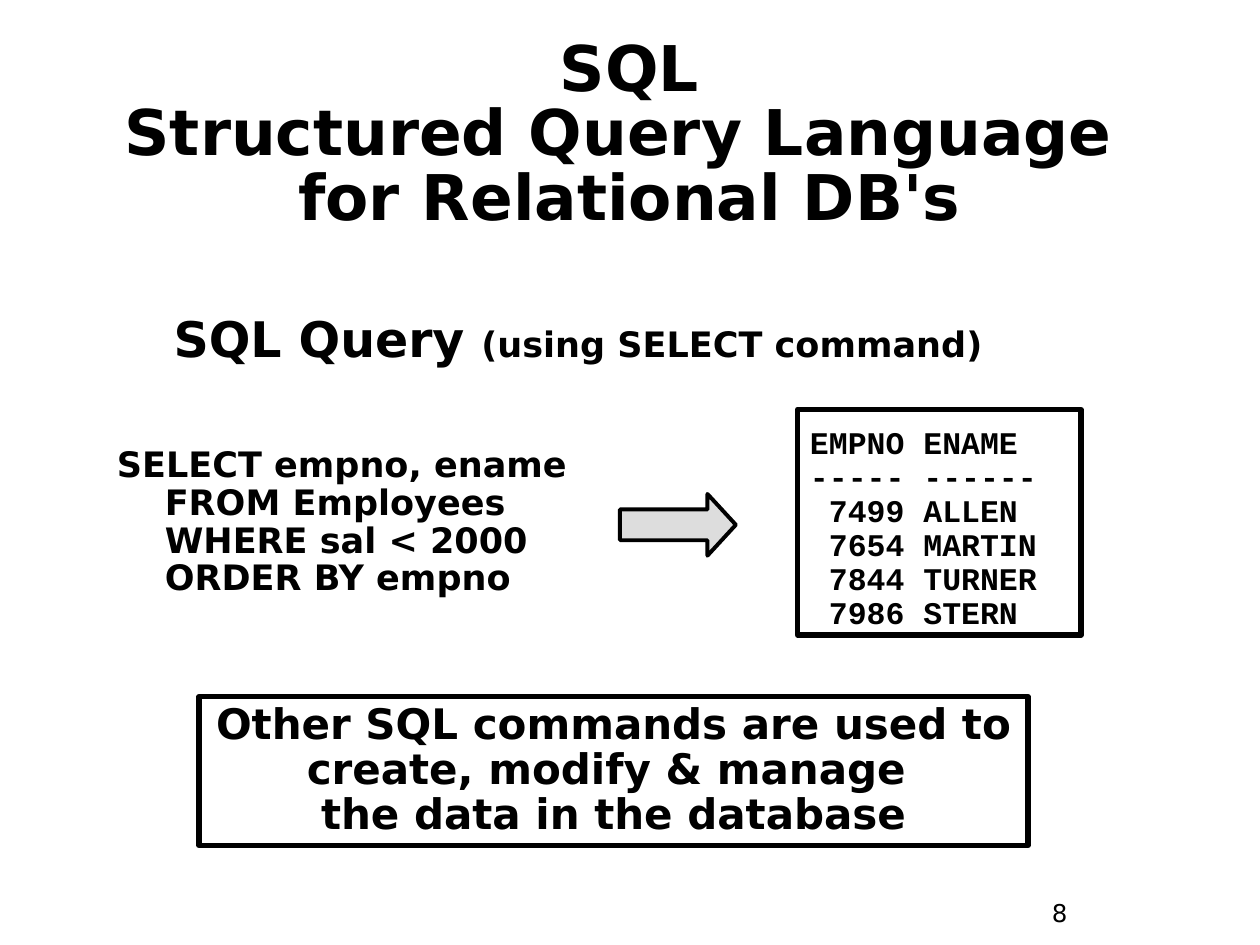
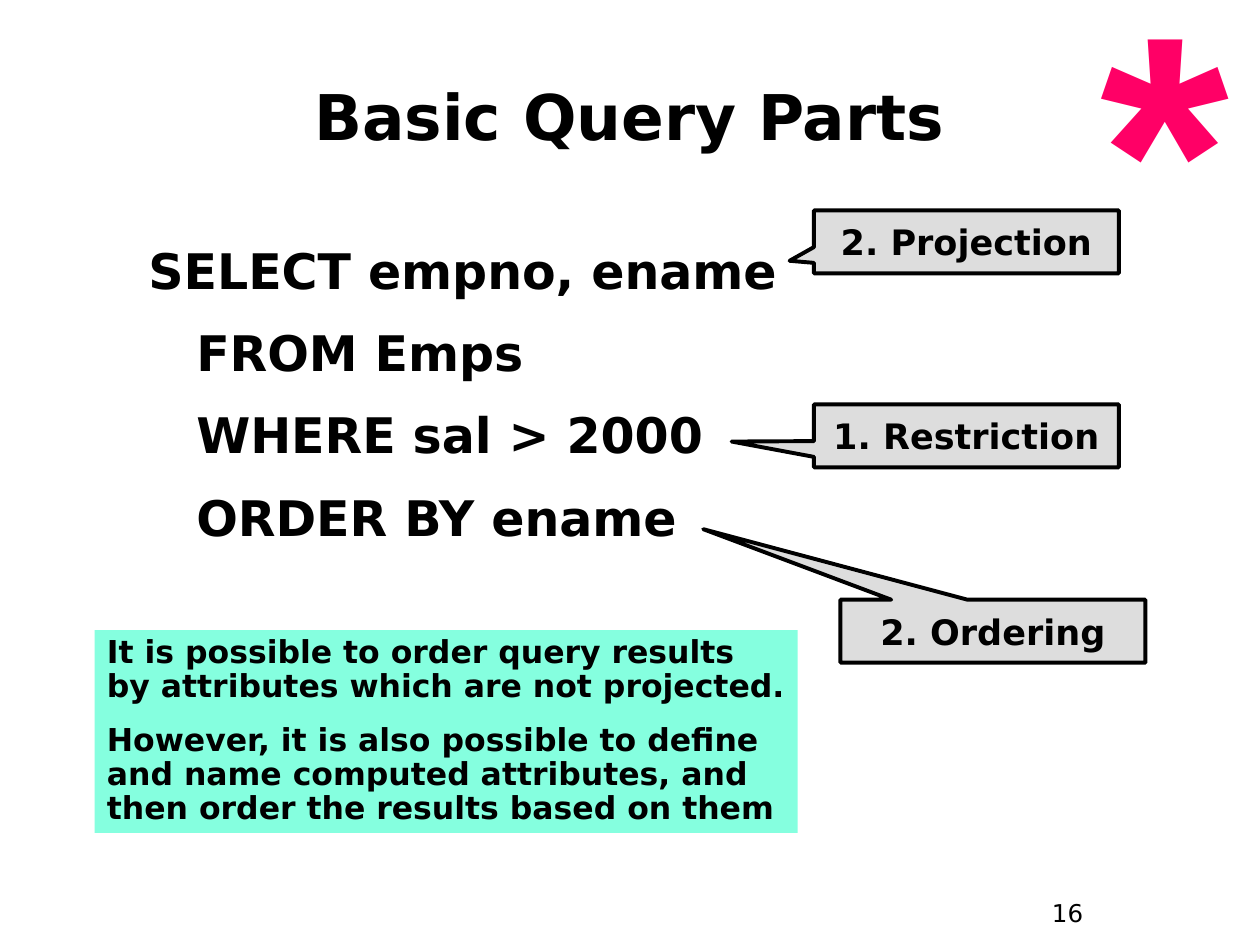
from pptx import Presentation
from pptx.dml.color import RGBColor
from pptx.enum import shapes, text
from pptx.util import Inches, Pt

BLACK, GREY, MINT, PINK = "000000", "DDDDDD", "85FFDF", "FF0066"
SANS, MONO = "DejaVu Sans", "Courier New"
KIND = shapes.MSO_SHAPE
LEFT, MID = text.PP_ALIGN.LEFT, text.PP_ALIGN.CENTER


def color(code):
    return RGBColor.from_string(code)


def write(frame, paras, size=20, font=SANS, ink=BLACK, bold=True, align=LEFT,
          line=1.0, gap=0, hang=0, center=False, top=0.05):
    frame.word_wrap = True
    frame.margin_left = frame.margin_right = Inches(0.1)
    frame.margin_top, frame.margin_bottom = Inches(top), Inches(0.05)
    anchor = text.MSO_ANCHOR
    frame.vertical_anchor = anchor.MIDDLE if center else anchor.TOP
    for n, runs in enumerate(paras):
        para = frame.add_paragraph() if n else frame.paragraphs[0]
        para.alignment, para.line_spacing = align, line
        para.space_before = Pt(gap if n else 0)
        if hang:
            props = para._p.get_or_add_pPr()
            props.set("marL", str(Inches(hang)))
            props.set("indent", str(-Inches(hang)))
        for part, points in [(runs, size)] if isinstance(runs, str) else runs:
            for m, row in enumerate(part.split("\n")):
                if m:
                    para.add_line_break()
                run = para.add_run()
                run.text = row
                face = run.font
                face.name, face.size, face.bold = font, Pt(points), bold
                face.color.rgb = color(ink)


class Deck:
    def __init__(self):
        self.show = Presentation()
        self.show.slide_width, self.show.slide_height = Inches(10), Inches(7.5)
        self.slide = None

    def page(self, number, title, top, line=1.0):
        self.slide = self.show.slides.add_slide(self.show.slide_layouts[6])
        self.label((8.25, 7.08, 0.75, 0.37), [number], size=14, bold=False)
        self.label((0.33, top, 9.33, 0.83), [title], size=36, align=MID,
                   line=line, center=True)

    def label(self, place, paras, **style):
        box = self.slide.shapes.add_textbox(*map(Inches, place))
        write(box.text_frame, paras, **style)

    def shape(self, kind, place, paras=(), fill=None, edge=0, bends=(), **style):
        item = self.slide.shapes.add_shape(kind, *map(Inches, place))
        item.shadow.inherit = False
        for n, bend in enumerate(bends):
            item.adjustments[n] = bend
        if fill:
            item.fill.solid()
            item.fill.fore_color.rgb = color(fill)
        else:
            item.fill.background()
        if edge:
            item.line.color.rgb = color(BLACK)
            item.line.width = Pt(edge)
        else:
            item.line.fill.background()
        if paras:
            write(item.text_frame, paras, **style)

    def callout(self, left, top, words, tip):
        self.shape(KIND.RECTANGULAR_CALLOUT, (left, top, 2.42, 0.5), [words],
                   fill=GREY, edge=2.25, bends=tip, align=MID, center=True)


def intro(deck):
    deck.page("8", "SQL\nStructured Query Language \nfor Relational DB's",
              0.67, line=0.85)
    deck.label((0.83, 3.5, 4.17, 1.58),
               ["SELECT empno, ename \nFROM Employees\n"
                "WHERE sal < 2000 \nORDER BY empno"], line=0.9, hang=0.38)
    rows = ["EMPNO ENAME", "----- ------", " 7499 ALLEN", " 7654 MARTIN",
            " 7844 TURNER", " 7986 STERN"]
    deck.shape(KIND.RECTANGLE, (6.33, 3.25, 2.25, 1.79), rows, edge=3,
               size=18, font=MONO, line=0.9, top=0.14)
    deck.shape(KIND.RIGHT_ARROW, (4.92, 3.92, 0.92, 0.49), fill=GREY,
               edge=2.25, bends=(0.5, 0.46))
    deck.label((1.28, 2.45, 6.89, 0.52),
               [[("SQL Query ", 28), ("(using SELECT command)", 20)]], line=0.9)
    deck.shape(KIND.RECTANGLE, (1.58, 5.53, 6.58, 1.18),
               ["Other SQL commands are used to create, modify & manage \n"
                "the data in the database"],
               edge=3, size=24, align=MID, line=0.9)


def parts(deck):
    deck.page("16", "Basic Query Parts", 0.5)
    deck.label((1.08, 1.67, 6.58, 4),
               ["SELECT empno, ename \nFROM Emps\n"
                "WHERE sal > 2000 \nORDER BY ename"],
               size=28, line=1.4, hang=0.38)
    deck.callout(6.46, 1.67, "2. Projection", (-0.58, 0.3))
    deck.callout(6.46, 3.21, "1. Restriction", (-0.77, 0.09))
    deck.callout(6.67, 4.76, "2. Ordering", (-0.95, -1.62))
    deck.label((8.58, -0.19, 1.33, 2.94), ["*"], size=189, font="Arial",
               ink=PINK, align=MID, line=0.9)
    deck.shape(KIND.RECTANGLE, (0.75, 5, 5.58, 1.61),
               ["It is possible to order query results by attributes which "
                "are not projected.",
                "However, it is also possible to define and name computed "
                "attributes, and then order the results based on them"],
               fill=MINT, size=18, line=0.9, gap=11.2)


def main():
    deck = Deck()
    intro(deck)
    parts(deck)
    deck.show.save("out.pptx")


if __name__ == "__main__":
    main()
